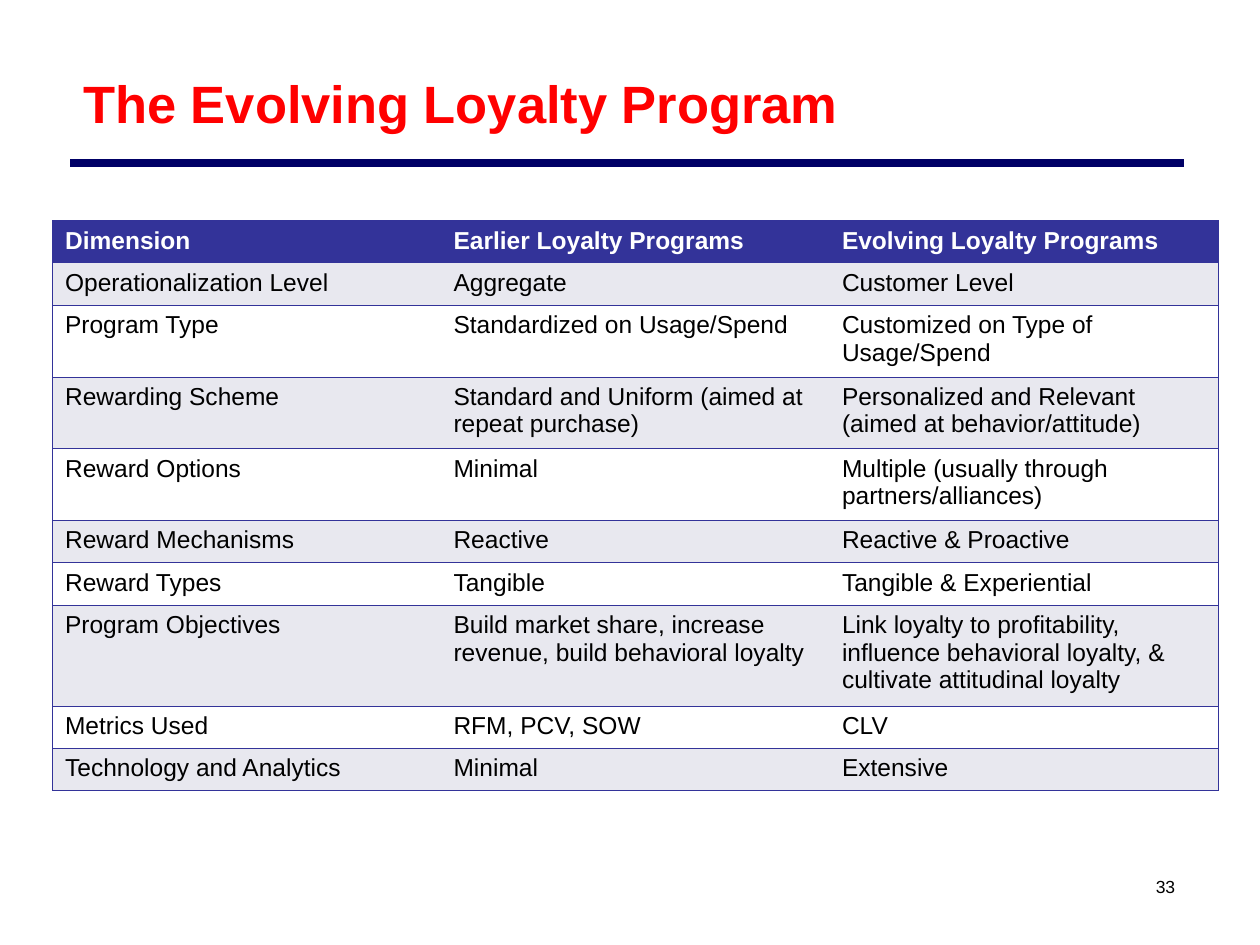
"""Build the loyalty program comparison slide."""
from lxml import etree
from pptx import Presentation
from pptx import util as u
from pptx.dml.color import RGBColor
from pptx.enum import shapes, text
from pptx.oxml.ns import qn

TITLE = "The Evolving Loyalty Program"
PAGE_NUMBER = "33"
ROWS = [
    ("Dimension", "Earlier Loyalty Programs", "Evolving Loyalty Programs"),
    ("Operationalization Level", "Aggregate", "Customer Level"),
    ("Program Type", "Standardized on Usage/Spend", "Customized on Type of Usage/Spend"),
    ("Rewarding Scheme", "Standard and Uniform (aimed at repeat purchase)",
     "Personalized and Relevant (aimed at behavior/attitude)"),
    ("Reward Options", "Minimal", "Multiple (usually through partners/alliances)"),
    ("Reward Mechanisms", "Reactive", "Reactive & Proactive"),
    ("Reward Types", "Tangible", "Tangible & Experiential"),
    ("Program Objectives", "Build market share, increase revenue, build behavioral loyalty",
     "Link loyalty to profitability, influence behavioral loyalty, & cultivate attitudinal loyalty"),
    ("Metrics Used", "RFM, PCV, SOW", "CLV"),
    ("Technology and Analytics", "Minimal", "Extensive"),
]
ROW_LINES = [1, 1, 2, 2, 2, 1, 1, 3, 1, 1]
LINE_HEIGHTS = {1: 24.2, 2: 41, 3: 57.7}
COLUMN_WIDTH = 222
INDIGO, NAVY, RED, BLACK, WHITE, GRAY = "333399", "000066", "FF0000", "000000", "FFFFFF", "E8E8EF"


def color(value):
    return RGBColor.from_string(value)


def write(frame, content, size, ink, bold=False, align=text.PP_ALIGN.LEFT):
    frame.text = content
    paragraph = frame.paragraphs[0]
    paragraph.alignment = align
    font = paragraph.font
    font.name, font.size, font.bold = "Arial", u.Pt(size), bold
    font.color.rgb = color(ink)


def place(shape, left, top, width, height):
    shape.left, shape.top = u.Pt(left), u.Pt(top)
    shape.width, shape.height = u.Pt(width), u.Pt(height)


def set_borders(cell, visible_sides):
    properties = cell._tc.get_or_add_tcPr()
    for side in "LRTB":
        line = etree.SubElement(properties, qn(f"a:ln{side}"), w=str(u.Pt(0.45)))
        if side in visible_sides:
            fill = etree.SubElement(line, qn("a:solidFill"))
            etree.SubElement(fill, qn("a:srgbClr"), val=INDIGO)
        else:
            etree.SubElement(line, qn("a:noFill"))


def add_title(slide):
    title = slide.shapes.title
    place(title, 40.3, 21.6, 634.3, 74.2)
    title.text_frame.vertical_anchor = text.MSO_ANCHOR.MIDDLE
    write(title.text_frame, TITLE, 30, RED, bold=True)


def add_rule(slide):
    rule = slide.shapes.add_connector(
        shapes.MSO_CONNECTOR.STRAIGHT, u.Pt(40.3), u.Pt(92.9), u.Pt(676.8), u.Pt(92.9))
    rule.line.color.rgb = color(NAVY)
    rule.line.width = u.Pt(4.5)
    etree.SubElement(rule._element.spPr, qn("a:effectLst"))


def add_page_number(slide):
    box = slide.shapes.add_textbox(u.Pt(648), u.Pt(493.2), u.Pt(36), u.Pt(26.6))
    box.text_frame.word_wrap = True
    box.text_frame.vertical_anchor = text.MSO_ANCHOR.MIDDLE
    write(box.text_frame, PAGE_NUMBER, 10, BLACK, align=text.PP_ALIGN.CENTER)


def add_comparison(slide):
    heights = [LINE_HEIGHTS[lines] for lines in ROW_LINES]
    columns = len(ROWS[0])
    table = slide.shapes.add_table(
        len(ROWS), columns, u.Pt(30), u.Pt(126),
        u.Pt(COLUMN_WIDTH * columns), u.Pt(sum(heights))).table
    for column in table.columns:
        column.width = u.Pt(COLUMN_WIDTH)
    for row, (values, height) in enumerate(zip(ROWS, heights)):
        table.rows[row].height = u.Pt(height)
        header = row == 0
        background = INDIGO if header else GRAY if row % 2 else WHITE
        for column, value in enumerate(values):
            cell = table.cell(row, column)
            outer = {0: "L", columns - 1: "R"}.get(column, "")
            set_borders(cell, "TB" + outer)
            cell.fill.solid()
            cell.fill.fore_color.rgb = color(background)
            write(cell.text_frame, value, 14, WHITE if header else BLACK, bold=header)


def main():
    presentation = Presentation()
    presentation.slide_width, presentation.slide_height = u.Pt(720), u.Pt(540)
    slide = presentation.slides.add_slide(presentation.slide_layouts[5])
    add_page_number(slide)
    add_rule(slide)
    add_title(slide)
    add_comparison(slide)
    presentation.save("out.pptx")


if __name__ == "__main__":
    main()
